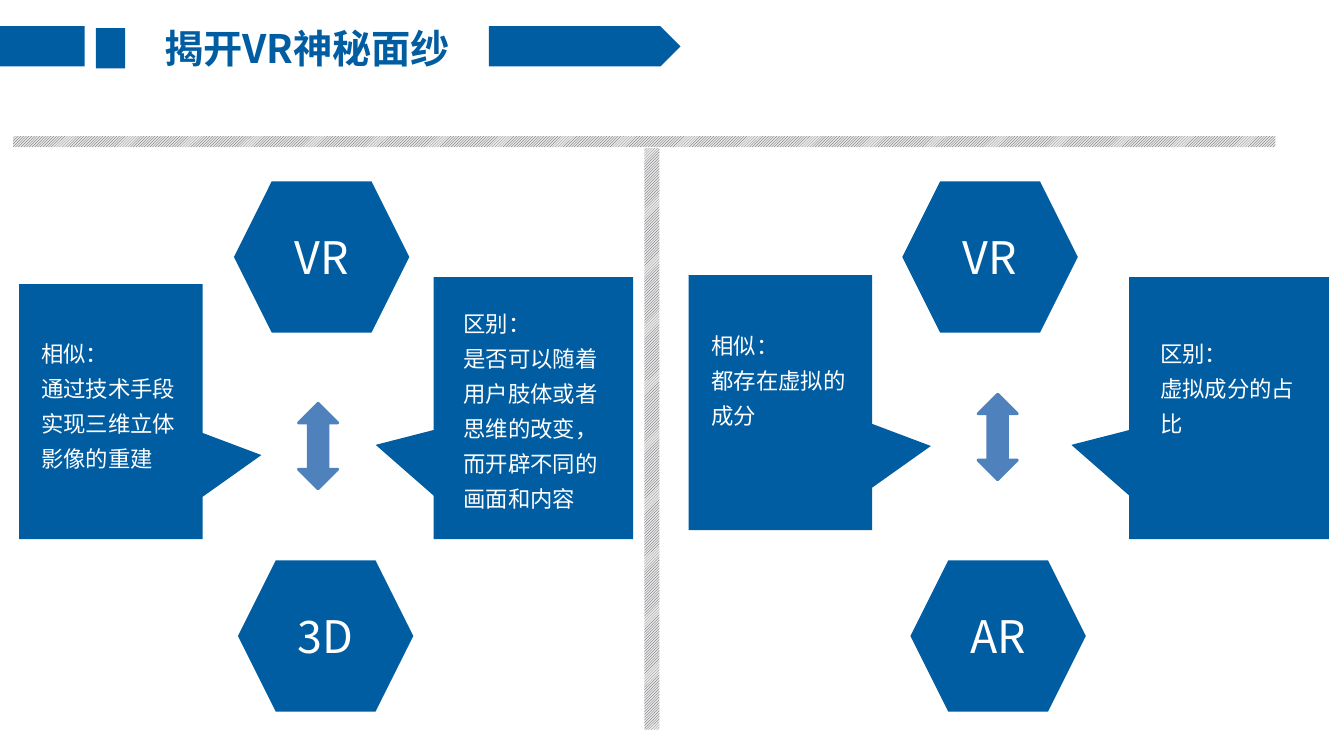
"""Build a slide comparing VR with 3D and VR with AR."""
from dataclasses import dataclass

import pptx
import pptx.dml.color
import pptx.enum.dml
import pptx.enum.shapes
import pptx.enum.text
import pptx.oxml.ns
import pptx.util
from lxml import etree

KIND = pptx.enum.shapes.MSO_SHAPE
ALIGN = pptx.enum.text.PP_ALIGN
ANCHOR = pptx.enum.text.MSO_ANCHOR
FIT = pptx.enum.text.MSO_AUTO_SIZE


@dataclass(frozen=True)
class Theme:
    """Colours, font and type sizes."""
    blue: str = "005DA2"
    arrow: str = "4F81BD"
    white: str = "FFFFFF"
    hatch: str = "414455"
    pale: str = "E8E8E6"
    font: str = "Noto Sans CJK SC"
    title: int = 28
    label: int = 32
    body: int = 16


THEME = Theme()
COLS, ROWS = 133.3, 75
TITLE = ("揭开VR神秘面纱", (12.5, 1.9, 35.9, 5.7))
HEADER = [
    (KIND.PENTAGON, (48.5, 2.6, 19, 4)),
    (KIND.RECTANGLE, (0, 2.6, 8.4, 4)),
    (KIND.RECTANGLE, (9.5, 2.8, 2.9, 4)),
]
RULES = [((1.3, 13.5, 125.2, 1.1), 0), ((35.8, 42.8, 57.7, 1.5), 90)]
HEX = (17.4, 15)
HEXES = [
    ("VR", 23.2, 18),
    ("3D", 23.6, 55.6),
    ("VR", 89.5, 18),
    ("AR", 90.3, 55.6),
]
ARROWS = [(29.6, 40), (97, 39.1)]
ARROW = (3.9, 8.5)
SAME = ("相似：", (18.2, 25.3), (0.82, 0.17))
DIFF = ("区别：", (19.8, 26), (-0.79, 0.14))
NOTES = [
    (DIFF, "是否可以随着用户肢体或者思维的改变，而开辟不同的画面和内容",
     (43, 27.5), (45, 29.5), 22),
    (SAME, "通过技术手段实现三维立体影像的重建", (1.9, 28.2), (3.1, 32.5), 15),
    (SAME, "都存在虚拟的成分", (68.3, 27.3), (69.6, 31.7), 11.5),
    (DIFF, "虚拟成分的占比", (112, 27.5), (114.1, 32.5), 11.5),
]
NOTE_W = 15.7

deck = pptx.Presentation()
deck.slide_width = pptx.util.Inches(13.33)
deck.slide_height = pptx.util.Inches(7.5)
slide = deck.slides.add_slide(deck.slide_layouts[5])


def place(box):
    """Turn grid columns and rows into slide lengths."""
    x, y, w, h = box
    col, row = deck.slide_width / COLS, deck.slide_height / ROWS
    return [round(n) for n in (x * col, y * row, w * col, h * row)]


def tint(code):
    """Give the colour for a hex code."""
    return pptx.dml.color.RGBColor.from_string(code)


def style(para, size, color, align=ALIGN.LEFT, bold=False):
    """Set the font and alignment of a paragraph."""
    para.alignment = align
    font = para.font
    font.size, font.bold = pptx.util.Pt(size), bold
    font.color.rgb, font.name = tint(color), THEME.font
    props = para._p.pPr.find(pptx.oxml.ns.qn("a:defRPr"))
    etree.SubElement(props, pptx.oxml.ns.qn("a:ea"), typeface=THEME.font)


def draw(home, kind, box, color=THEME.blue):
    """Add a plain filled shape."""
    shape = home.shapes.add_shape(kind, *place(box))
    shape.shadow.inherit = False
    shape.fill.solid()
    shape.fill.fore_color.rgb = tint(color)
    shape.line.fill.background()
    return shape


def head():
    """Set the title and the bars beside it."""
    text, box = TITLE
    title = slide.shapes.title
    title.left, title.top, title.width, title.height = place(box)
    frame = title.text_frame
    frame.text, frame.word_wrap = text, True
    frame.vertical_anchor = ANCHOR.TOP
    frame.auto_size = FIT.SHAPE_TO_FIT_TEXT
    style(frame.paragraphs[0], THEME.title, THEME.blue, ALIGN.CENTER, True)
    for kind, box in HEADER:
        draw(slide, kind, box)


def rule(box, turn):
    """Add a hatched divider."""
    bar = draw(slide, KIND.RECTANGLE, box)
    bar.rotation = turn
    bar.fill.patterned()
    bar.fill.pattern = pptx.enum.dml.MSO_PATTERN.LIGHT_UPWARD_DIAGONAL
    bar.fill.fore_color.rgb = tint(THEME.hatch)
    bar.fill.back_color.rgb = tint(THEME.pale)


def badge(text, x, y):
    """Add a labelled hexagon."""
    frame = draw(slide, KIND.HEXAGON, (x, y, *HEX)).text_frame
    frame.text = text
    frame.vertical_anchor = ANCHOR.MIDDLE
    style(frame.paragraphs[0], THEME.label, THEME.white, ALIGN.CENTER)


def note(sort, text, spot, start, tall):
    """Add a callout with its text as a group."""
    lead, size, tail = sort
    group = slide.shapes.add_group_shape()
    shape = draw(group, KIND.RECTANGULAR_CALLOUT, (*spot, *size))
    for i, value in enumerate(tail):
        shape.adjustments[i] = value
    area = group.shapes.add_textbox(*place((*start, NOTE_W, tall)))
    frame = area.text_frame
    frame.word_wrap = True
    frame.auto_size = FIT.SHAPE_TO_FIT_TEXT
    frame.text = f"{lead}\n{text}"
    for para in frame.paragraphs:
        para.line_spacing = 1.3
        style(para, THEME.body, THEME.white)


head()
for item in HEXES:
    badge(*item)
for item in RULES:
    rule(*item)
for spot in ARROWS:
    arrow = draw(slide, KIND.UP_DOWN_ARROW, (*spot, *ARROW), THEME.arrow)
    arrow.line.color.rgb = tint(THEME.arrow)
    arrow.line.width = pptx.util.Pt(2)
for item in NOTES:
    note(*item)
deck.save("out.pptx")
